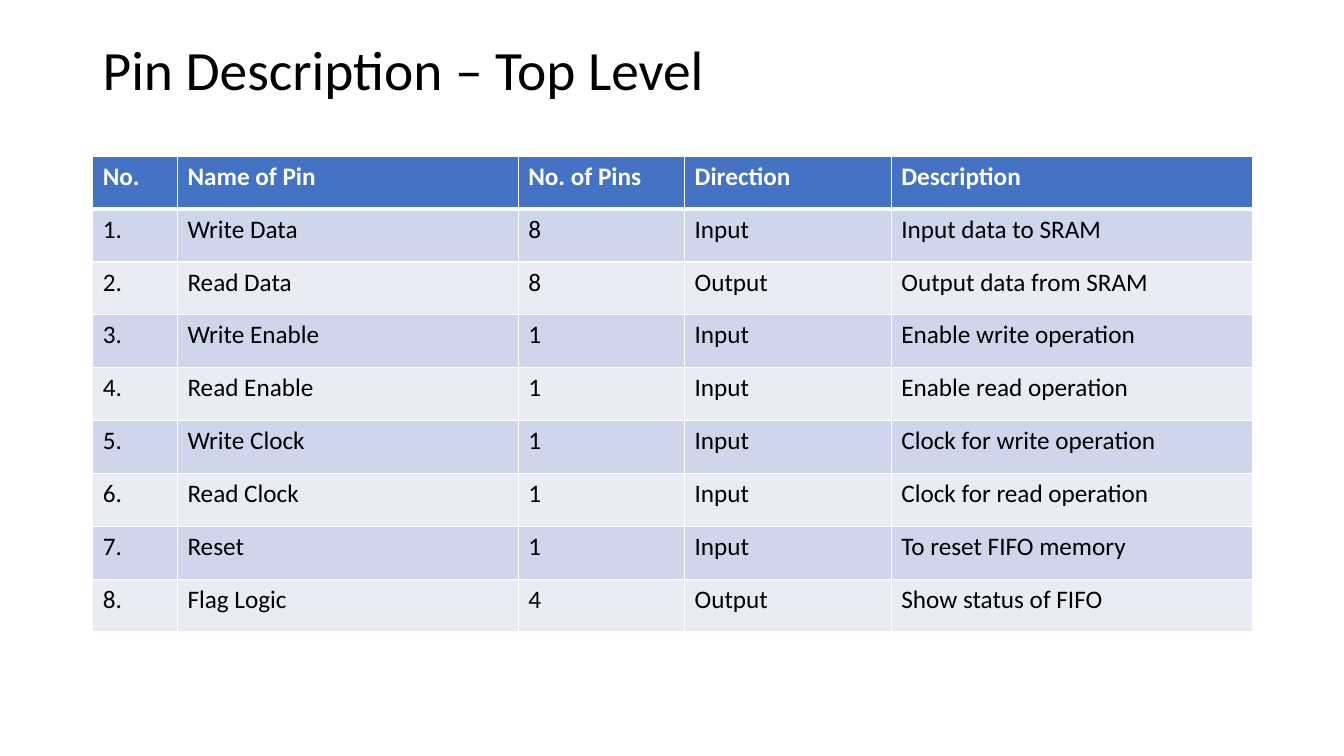
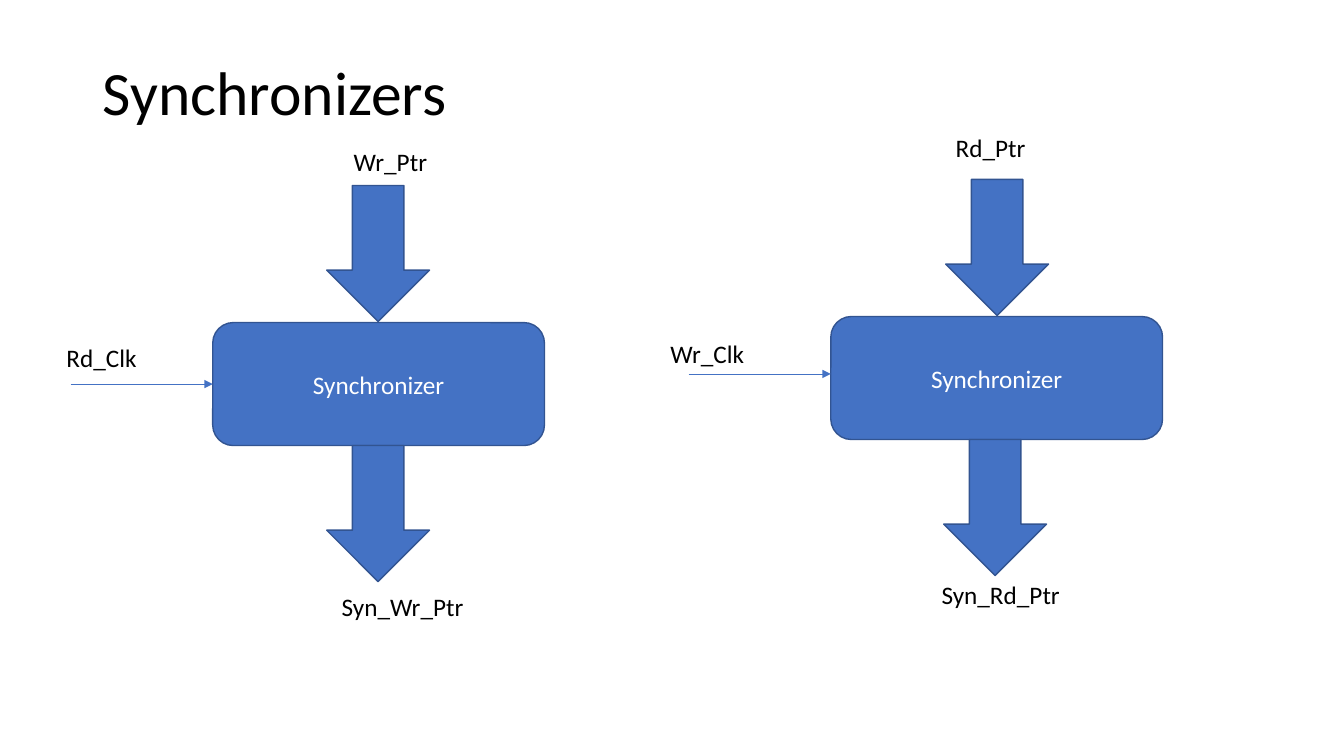
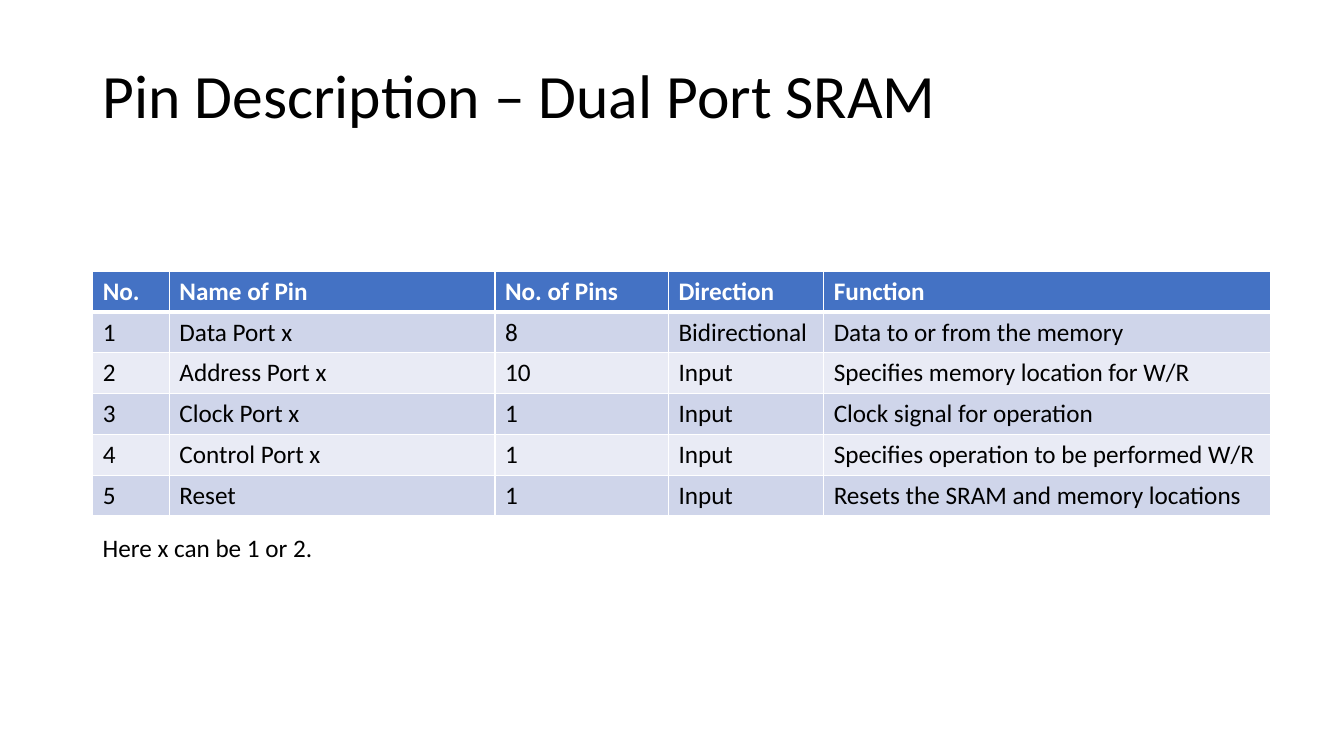
from lxml import etree
from pptx import Presentation
from pptx.dml.color import RGBColor
from pptx.enum.shapes import MSO_CONNECTOR, MSO_SHAPE
from pptx.enum.text import MSO_ANCHOR, MSO_AUTO_SIZE, PP_ALIGN
from pptx.oxml.ns import qn
from pptx.util import Pt

PX = 9144  # EMU per px, at 100 px to the inch

FONT = "Calibri"
BODY_SIZE = 18
BLACK = RGBColor(0x00, 0x00, 0x00)
WHITE = RGBColor(0xFF, 0xFF, 0xFF)
BLUE = RGBColor(0x44, 0x72, 0xC4)
DARK_BLUE = RGBColor(0x32, 0x54, 0x91)
BAND_DARK = RGBColor(0xCF, 0xD5, 0xEA)
BAND_LIGHT = RGBColor(0xE9, 0xEB, 0xF5)

ROUNDED = MSO_SHAPE.ROUNDED_RECTANGLE
DOWN_ARROW = MSO_SHAPE.DOWN_ARROW
STRAIGHT = MSO_CONNECTOR.STRAIGHT
MIDDLE = MSO_ANCHOR.MIDDLE
GROW = MSO_AUTO_SIZE.SHAPE_TO_FIT_TEXT
CENTER = PP_ALIGN.CENTER
LEFT_SIDE = 1

MARGIN = 92
CONTENT_WIDTH = 1150

TOP_LEVEL_PINS = [
    ("No.", "Name of Pin", "No. of Pins", "Direction", "Description"),
    ("1.", "Write Data", "8", "Input", "Input data to SRAM"),
    ("2.", "Read Data", "8", "Output", "Output data from SRAM"),
    ("3.", "Write Enable", "1", "Input", "Enable write operation"),
    ("4.", "Read Enable", "1", "Input", "Enable read operation"),
    ("5.", "Write Clock", "1", "Input", "Clock for write operation"),
    ("6.", "Read Clock", "1", "Input", "Clock for read operation"),
    ("7.", "Reset", "1", "Input", "To reset FIFO memory"),
    ("8.", "Flag Logic", "4", "Output", "Show status of FIFO"),
]

SRAM_PINS = [
    ("No.", "Name of Pin", "No. of Pins", "Direction", "Function"),
    ("1", "Data Port x", "8", "Bidirectional", "Data to or from the memory"),
    ("2", "Address Port x", "10", "Input", "Specifies memory location for W/R"),
    ("3", "Clock Port x", "1", "Input", "Clock signal for operation"),
    ("4", "Control Port x", "1", "Input", "Specifies operation to be performed W/R"),
    ("5", "Reset", "1", "Input", "Resets the SRAM and memory locations"),
]


class Deck:
    """Holds the shared style and the slide being filled."""

    def __init__(self):
        self.presentation = Presentation()
        self.presentation.slide_width = 1333 * PX
        self.presentation.slide_height = 750 * PX
        self.slide = None

    def add_slide(self, title, top, height, size=44):
        layout = self.presentation.slide_layouts[6]
        self.slide = self.presentation.slides.add_slide(layout)
        frame = self.add_box(MARGIN, top, CONTENT_WIDTH, height)
        frame.vertical_anchor = MIDDLE
        self.set_text(frame, title, size=size)
        frame.paragraphs[0].line_spacing = 0.9

    def set_text(self, frame, text, color=BLACK, size=BODY_SIZE, bold=False):
        paragraph = frame.paragraphs[0]
        paragraph.text = text
        font = paragraph.font
        font.name, font.size, font.bold = FONT, Pt(size), bold
        font.color.rgb = color

    def add_box(self, left, top, width, height):
        box = self.slide.shapes.add_textbox(
            left * PX, top * PX, width * PX, height * PX)
        box.text_frame.word_wrap = True
        return box.text_frame

    def add_label(self, text, left, top, width):
        frame = self.add_box(left, top, width, 40)
        frame.auto_size = GROW
        self.set_text(frame, text)

    def add_shape(self, kind, left, top, width, height, text=""):
        shape = self.slide.shapes.add_shape(
            kind, left * PX, top * PX, width * PX, height * PX)
        shape.shadow.inherit = False
        shape.fill.solid()
        shape.fill.fore_color.rgb = BLUE
        shape.line.color.rgb = DARK_BLUE
        shape.line.width = Pt(1)
        if text:
            frame = shape.text_frame
            frame.vertical_anchor = MIDDLE
            self.set_text(frame, text, WHITE)
            frame.paragraphs[0].alignment = CENTER
        return shape

    def add_arrow(self, left, right, y):
        arrow = self.slide.shapes.add_connector(
            STRAIGHT, left * PX, y * PX, right * PX, y * PX)
        arrow.line.color.rgb = BLUE
        arrow.line.width = Pt(0.5)
        properties = arrow.element.spPr
        line = properties.find(qn("a:ln"))
        etree.SubElement(line, qn("a:tailEnd"), type="triangle")
        etree.SubElement(properties, qn("a:effectLst"))
        return arrow

    def add_table(self, rows, top, height, column_widths):
        table = self.slide.shapes.add_table(
            len(rows), len(column_widths), MARGIN * PX, top * PX,
            sum(column_widths) * PX, height * PX).table
        for column, width in zip(table.columns, column_widths):
            column.width = width * PX
        for row_index, row in enumerate(rows):
            header = row_index == 0
            band = BAND_DARK if row_index % 2 else BAND_LIGHT
            for column_index, text in enumerate(row):
                cell = table.cell(row_index, column_index)
                self.set_text(cell.text_frame, text,
                              WHITE if header else BLACK, bold=header)
                self.add_borders(cell, top=3 if row_index == 1 else 1,
                                 bottom=3 if header else 1)
                cell.fill.solid()
                cell.fill.fore_color.rgb = BLUE if header else band

    def add_borders(self, cell, top, bottom):
        properties = cell._tc.get_or_add_tcPr()
        for edge, width in (("L", 1), ("R", 1), ("T", top), ("B", bottom)):
            line = etree.SubElement(
                properties, qn(f"a:ln{edge}"), w=str(int(Pt(width))))
            fill = etree.SubElement(line, qn("a:solidFill"))
            etree.SubElement(fill, qn("a:srgbClr"), val=str(WHITE))


def add_synchronizer(deck, left, top, clock_y, arrows, labels):
    """Draw a block with its pointer arrows, clock line and labels."""
    block_height = 122
    block = deck.add_shape(ROUNDED, left, top, 329, block_height, "Synchronizer")
    for arrow_left, arrow_top in zip(arrows, (top - 136, top + block_height)):
        deck.add_shape(DOWN_ARROW, arrow_left, arrow_top, 102, 135)
    clock = deck.add_arrow(left - 141, left, clock_y)
    if clock_y == top + block_height // 2:
        clock.end_connect(block, LEFT_SIDE)
    for label in labels:
        deck.add_label(*label)


def main():
    deck = Deck()

    # Top-level pins
    deck.add_slide("Pin Description – Top Level", 40, 64, size=39.6)
    deck.add_table(TOP_LEVEL_PINS, 155, 472, (84, 338, 165, 205, 358))

    # Write and read pointer synchronizers
    deck.add_slide("Synchronizers", 22, 145)
    add_synchronizer(deck, 211, 320, 381, (324, 324), [
        ("Rd_Clk", 56, 335, 169),
        ("Wr_Ptr", 341, 140, 227),
        ("Syn_Wr_Ptr", 329, 582, 227),
    ])
    add_synchronizer(deck, 824, 314, 371, (938, 936), [
        ("Wr_Clk", 655, 331, 169),
        ("Rd_Ptr", 938, 126, 227),
        ("Syn_Rd_Ptr", 924, 570, 227),
    ])

    # Dual-port memory pins
    deck.add_slide("Pin Description – Dual Port SRAM", 40, 115)
    deck.add_table(SRAM_PINS, 269, 243, (76, 323, 172, 154, 443))
    deck.add_label("Here x can be 1 or 2.", MARGIN, 523, 786)

    deck.presentation.save("out.pptx")


if __name__ == "__main__":
    main()
